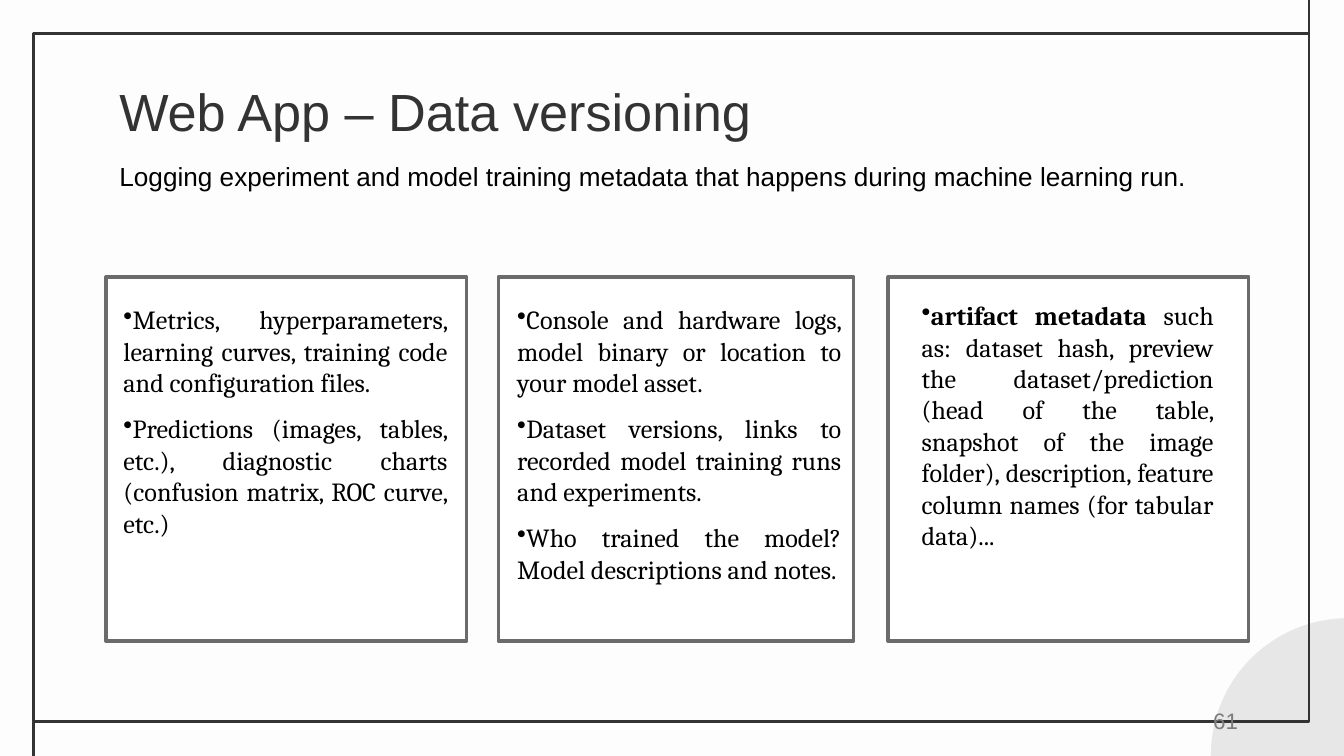
from collections import namedtuple

from lxml.etree import SubElement
from pptx import Presentation
from pptx.dml.color import RGBColor
from pptx.enum.shapes import MSO_CONNECTOR as Connector, MSO_SHAPE as Shape
from pptx.enum.text import MSO_ANCHOR as Anchor, PP_ALIGN as Align
from pptx.oxml.ns import qn
from pptx.util import Inches, Pt

COLORS = {
    "background": "FDFDFD",
    "corner": "E8E7E7",
    "frame": "333333",
    "card": "FFFFFF",
    "card_border": "6B6B6B",
    "title": "333333",
    "body": "000000",
    "number": "7C7C7C",
}

# Square grid: 100 columns across the slide, 56.25 rows down.
COLUMNS, ROWS = 100, 56.25
CELL = Inches(10) / COLUMNS
INSET = 1

Box = namedtuple("Box", "left top width height")
SLIDE = Box(0, 0, COLUMNS, ROWS)
FRAME = Box(2.5, 2.5, 94.9, 51.2)
CARD_TOP, CARD_HEIGHT = 20.6, 27.1

# Left and width of each card, box of its text relative to the card, bullets.
# Each bullet is a list of (text, bold) runs.
CARDS = [
    (7.9, 26.8, Box(0.3, 1, 26.1, 21.2), [
        [("Metrics, hyperparameters, learning curves, training code and "
          "configuration files.", False)],
        [("Predictions (images, tables, etc.), diagnostic charts (confusion "
          "matrix, ROC curve, etc.) ", False)],
    ]),
    (37.1, 26.4, Box(0.4, 1, 26.1, 25.2), [
        [("Console and hardware logs, model binary or location to your model "
          "asset.", False)],
        [("Dataset versions, links to recorded model training runs and "
          "experiments. ", False)],
        [("Who trained the model? Model descriptions and notes.", False)],
    ]),
    (66.1, 26.8, Box(1.5, 0.7, 23.7, 21.5), [
        [("artifact metadata ", True),
         ("such as: dataset hash, preview the dataset/prediction (head of the "
          "table, snapshot of the image folder), description, feature column "
          "names (for tabular data)...", False)],
    ]),
]


def color(name):
    return RGBColor.from_string(COLORS[name])


def grid(*lengths):
    return [round(length * CELL) for length in lengths]


def inside(parent, box):
    """Turn a box relative to its parent into slide coordinates."""
    return Box(parent.left + box.left, parent.top + box.top, box.width, box.height)


def add_panel(slide, kind, box, fill=None, line=None, weight=1.5):
    shape = slide.shapes.add_shape(kind, *grid(*box))
    shape.shadow.inherit = False
    if fill:
        shape.fill.solid()
        shape.fill.fore_color.rgb = color(fill)
    else:
        shape.fill.background()
    if line:
        shape.line.color.rgb = color(line)
        shape.line.width = Pt(weight)
    else:
        shape.line.fill.background()
    return shape


def add_frame_line(slide, *ends):
    line = slide.shapes.add_connector(Connector.STRAIGHT, *grid(*ends))
    line.line.color.rgb = color("frame")
    line.line.width = Pt(1.5)
    SubElement(line._element.spPr, qn("a:effectLst"))


def add_text_frame(slide, box, vertical_inset=INSET):
    text_frame = slide.shapes.add_textbox(*grid(*box)).text_frame
    text_frame.word_wrap = True
    text_frame.margin_left, text_frame.margin_right = grid(INSET, INSET)
    text_frame.margin_top, text_frame.margin_bottom = grid(vertical_inset, vertical_inset)
    return text_frame


def set_font(font, name, size, color_name):
    font.name = name
    font.size = Pt(size)
    font.color.rgb = color(color_name)


def add_line_of_text(slide, box, text, size, color_name, align, vertical_inset=INSET):
    text_frame = add_text_frame(slide, box, vertical_inset)
    text_frame.text = text
    paragraph = text_frame.paragraphs[0]
    paragraph.alignment = align
    set_font(paragraph.runs[0].font, "Arial", size, color_name)
    return text_frame


def add_bullet(paragraph):
    properties = paragraph._p.get_or_add_pPr()
    properties.set("marL", "0")
    properties.set("indent", str(-grid(INSET)[0]))
    bullet_color = SubElement(properties, qn("a:buClr"))
    SubElement(bullet_color, qn("a:srgbClr"), val=COLORS["body"])
    SubElement(properties, qn("a:buChar"), char="•")


def add_background(slide, box):
    slide.background.fill.solid()
    slide.background.fill.fore_color.rgb = color("background")
    corner = Box(box.width - 9.9, box.height - 10.25, 20.4, 20.4)
    add_panel(slide, Shape.OVAL, inside(box, corner), fill="corner")
    right, bottom = FRAME.left + FRAME.width, FRAME.top + FRAME.height
    add_frame_line(slide, right, FRAME.top, right, box.top)
    add_frame_line(slide, FRAME.left, box.height, FRAME.left, bottom)
    add_panel(slide, Shape.RECTANGLE, FRAME, line="frame")


def add_heading(slide, box):
    title = inside(box, Box(0, 0, 84.3, 6.3))
    subtitle = inside(box, Box(0, 6, box.width, 5.4))
    add_line_of_text(slide, title, "Web App – Data versioning", 28, "title", Align.LEFT)
    add_line_of_text(
        slide, subtitle,
        "Logging experiment and model training metadata that happens during "
        "machine learning run.",
        14, "body", Align.JUSTIFY)


def add_card(slide, box, text_box, bullets):
    card = add_panel(slide, Shape.ROUNDED_RECTANGLE, box, "card", "card_border", 2)
    card.adjustments[0] = 0
    text_frame = add_text_frame(slide, inside(box, text_box))
    for index, runs in enumerate(bullets):
        paragraph = text_frame.add_paragraph() if index else text_frame.paragraphs[0]
        paragraph.alignment = Align.JUSTIFY
        if index:
            paragraph.space_before = Pt(8)
        add_bullet(paragraph)
        for text, bold in runs:
            run = paragraph.add_run()
            run.text = text
            run.font.bold = bold
            set_font(run.font, "Cambria", 14, "body")
    paragraph.space_after = Pt(8)


def add_slide_number(slide, box):
    text_frame = add_line_of_text(
        slide, box, "61", 12, "number", Align.RIGHT, INSET / 2)
    text_frame.vertical_anchor = Anchor.MIDDLE


def main():
    presentation = Presentation()
    presentation.slide_width, presentation.slide_height = grid(COLUMNS, ROWS)
    slide = presentation.slides.add_slide(presentation.slide_layouts[6])
    add_background(slide, SLIDE)
    add_heading(slide, Box(7.9, 4.9, 85, 11.4))
    for left, width, text_box, bullets in CARDS:
        add_card(slide, Box(left, CARD_TOP, width, CARD_HEIGHT), text_box, bullets)
    add_slide_number(slide, Box(70.6, 52.1, 22.5, 3))
    presentation.save("out.pptx")


if __name__ == "__main__":
    main()
